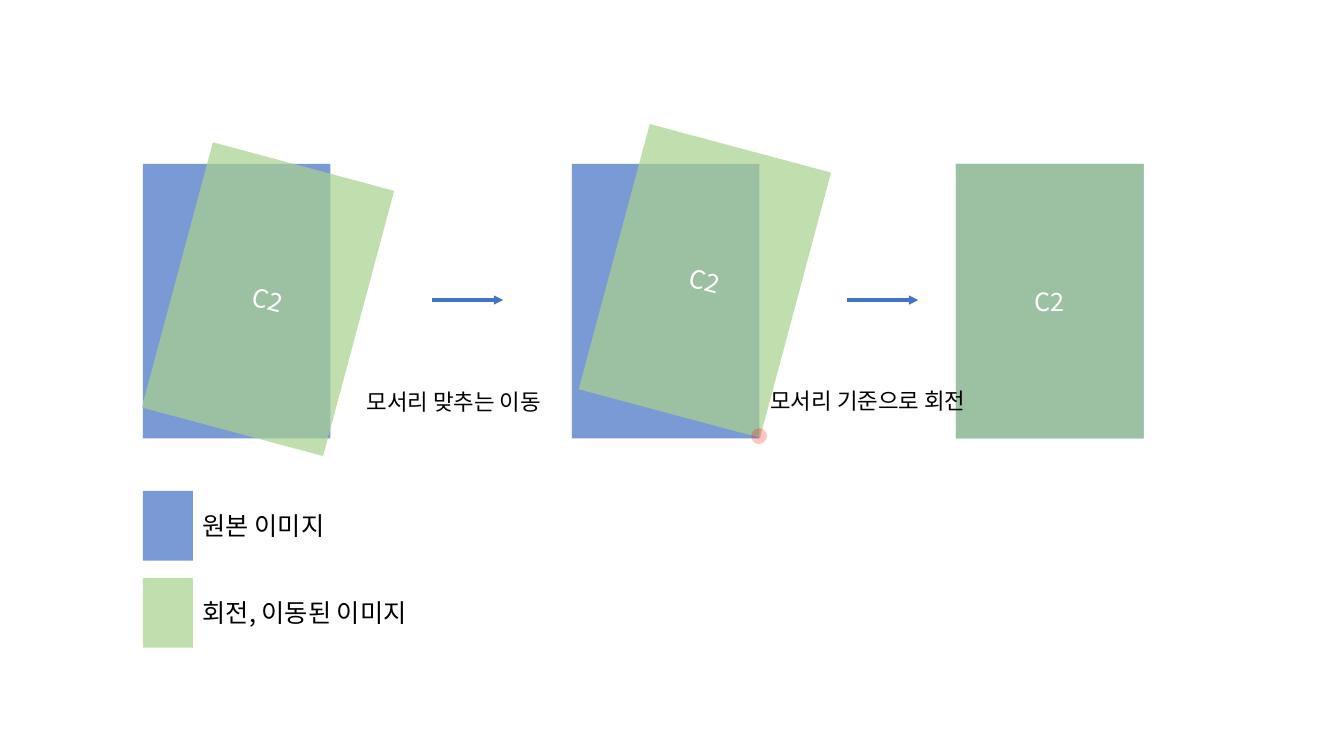
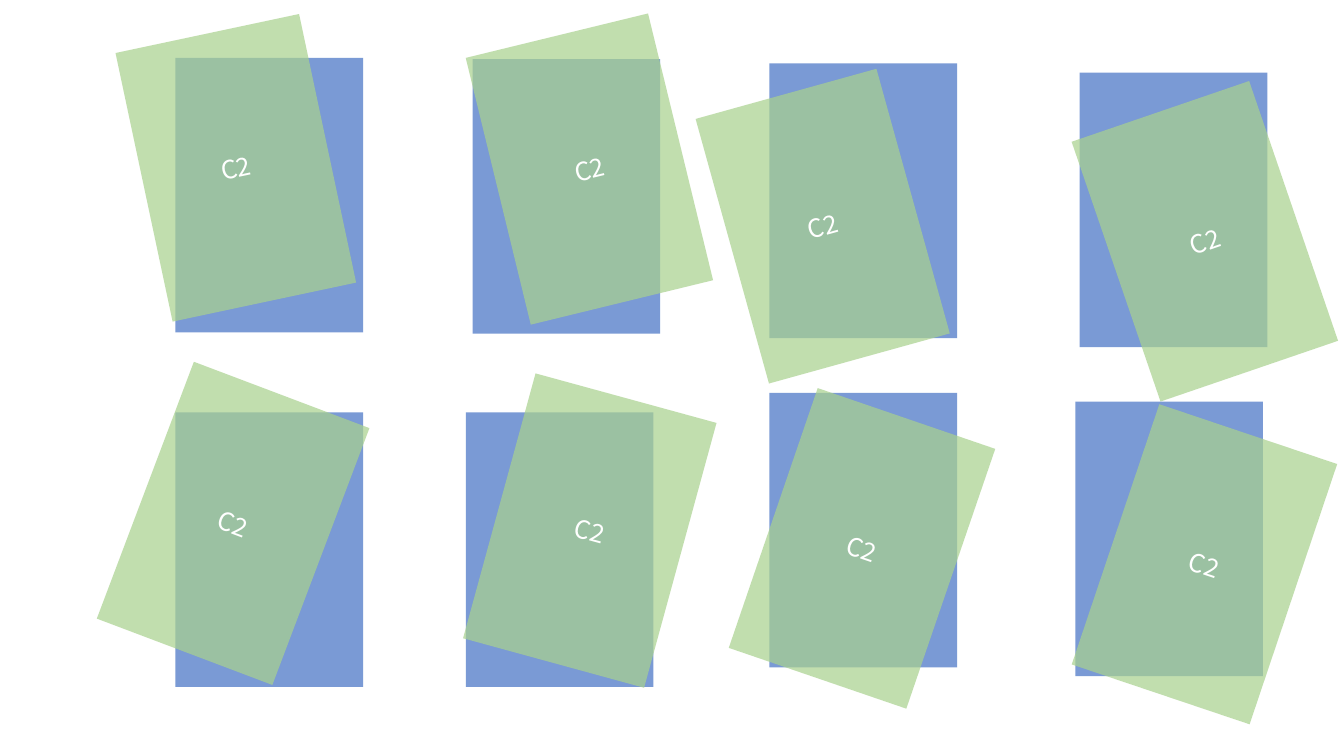
from pptx import Presentation
from pptx.dml.color import RGBColor
from pptx.enum.shapes import MSO_CONNECTOR, MSO_SHAPE
from pptx.enum.text import MSO_ANCHOR, PP_ALIGN
from pptx.oxml.ns import qn
from pptx.util import Cm, Pt
from lxml.etree import SubElement

BLUE = RGBColor(0x44, 0x72, 0xC4)
GREEN = RGBColor(0xA9, 0xD1, 0x8E)
RED = RGBColor(0xFF, 0x00, 0x00)
WHITE = RGBColor(0xFF, 0xFF, 0xFF)
BLACK = RGBColor(0x00, 0x00, 0x00)
FONT = "Noto Sans CJK KR"
PAGE_W, PAGE_H = 4.73, 6.92
KEY_W, KEY_H, KEY_STEP = 1.26, 1.76, 2.19
TEXT_H = 2.77


def write(frame, text, size, color, align):
    """Write one vertically centred line into a text frame."""
    frame.word_wrap = True
    frame.vertical_anchor = MSO_ANCHOR.MIDDLE
    line = frame.paragraphs[0]
    line.alignment = align
    run = line.add_run()
    run.text = text
    run.font.name, run.font.size = FONT, Pt(size)
    run.font.color.rgb = color
    SubElement(run.font._element, qn("a:ea"), typeface=FONT)


def add_tint(slide, x, y, w, h, color, alpha=71, kind=MSO_SHAPE.RECTANGLE):
    """Add a see-through shape without outline; alpha is a percentage."""
    shape = slide.shapes.add_shape(kind, Cm(x), Cm(y), Cm(w), Cm(h))
    shape.shadow.inherit = False
    shape.fill.solid()
    shape.fill.fore_color.rgb = color
    shape.line.fill.background()
    tone = shape.fill._xPr.find(".//" + qn("a:srgbClr"))
    SubElement(tone, qn("a:alpha"), val=str(alpha * 1000))
    return shape


def add_label(slide, x, y, w, text, size, align=PP_ALIGN.LEFT):
    """Add a black label in a text box."""
    box = slide.shapes.add_textbox(Cm(x), Cm(y), Cm(w), Cm(TEXT_H))
    write(box.text_frame, text, size, BLACK, align)


def add_pair(slide, x, y, dx, dy, angle):
    """Add a blue page and a green one shifted and turned over it."""
    add_tint(slide, x, y, PAGE_W, PAGE_H, BLUE)
    page = add_tint(slide, x + dx, y + dy, PAGE_W, PAGE_H, GREEN)
    page.rotation = angle
    write(page.text_frame, "C2", 18, WHITE, PP_ALIGN.CENTER)


def add_arrow(slide, x, y, length):
    """Add a horizontal arrow pointing right."""
    arrow = slide.shapes.add_connector(
        MSO_CONNECTOR.STRAIGHT, Cm(x), Cm(y), Cm(x + length), Cm(y))
    arrow.line.color.rgb = BLUE
    arrow.line.width = Pt(2.25)
    SubElement(arrow.line._get_or_add_ln(), qn("a:tailEnd"), type="triangle")
    SubElement(arrow._element.spPr, qn("a:effectLst"))


def add_legend(slide, x, y):
    """Add the colour key, one swatch and label per row."""
    rows = ((BLUE, "원본 이미지", 4.37), (GREEN, "회전, 이동된 이미지", 7.82))
    for i, (color, text, width) in enumerate(rows):
        top = y + i * KEY_STEP
        add_tint(slide, x, top, KEY_W, KEY_H, color)
        add_label(slide, x + KEY_W, top + (KEY_H - TEXT_H) / 2, width, text, 18)


def add_steps(slide, x, y):
    """Show the alignment as three steps joined by arrows."""
    for left, dx, dy, angle in (
            (0, 0.79, -0.05, 15), (10.81, 0.99, -0.51, 15), (20.49, 0, 0, 0)):
        add_pair(slide, x + left, y, dx, dy, angle)
    for left in (7.29, 17.75):
        add_arrow(slide, x + left, y + 3.43, 1.79)
    add_label(slide, x + 5.39, y + 4.6, 6.35, "모서리 맞추는 이동", 16)
    add_label(slide, x + 15.1, y + 4.58, 6.35, "모서리 기준으로 회전", 16,
              PP_ALIGN.CENTER)
    add_tint(slide, x + 15.33, y + 6.66, 0.4, 0.4, RED, 23, MSO_SHAPE.OVAL)


def add_cases(slide):
    """Show eight ways the green page may lie: left turns, then right."""
    for case in (
            (4.42, 1.46, -0.84, -0.69, -12),
            (11.91, 1.49, 0.58, -0.69, -13.7),
            (19.39, 1.6, -1.02, 0.64, -15.5),
            (27.21, 1.83, 0.79, 0.79, -18.9),
            (4.42, 10.39, -0.91, -0.66, 20.7),
            (11.74, 10.39, 0.76, -0.48, 15.3),
            (19.39, 9.9, -0.03, 0.46, 18.9),
            (27.1, 10.12, 0.89, 0.64, 18.6)):
        add_pair(slide, *case)


deck = Presentation()
deck.slide_width, deck.slide_height = Cm(33.87), Cm(19.05)
blank = deck.slide_layouts[6]

steps = deck.slides.add_slide(blank)
add_steps(steps, 3.6, 4.13)
add_legend(steps, 3.6, 12.37)

add_cases(deck.slides.add_slide(blank))
deck.save("out.pptx")
